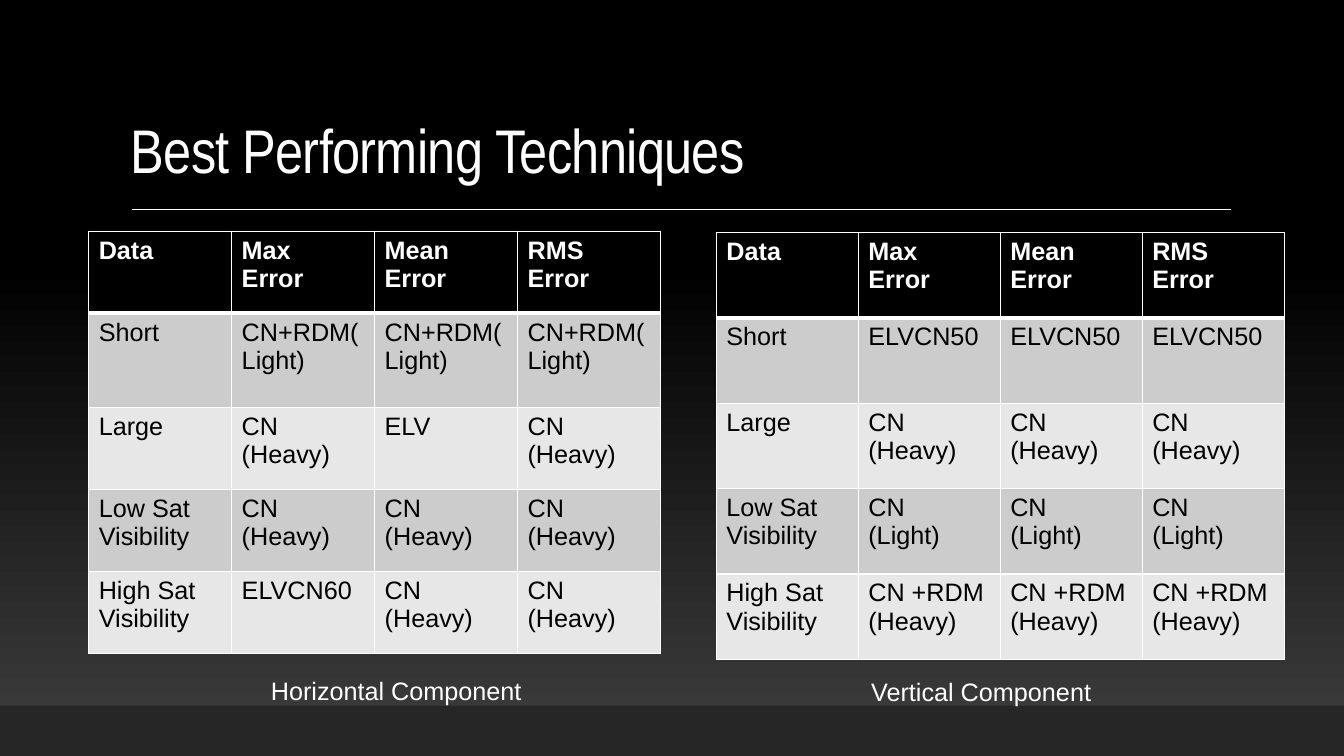
from lxml.etree import SubElement
from pptx import Presentation
from pptx.dml.color import RGBColor
from pptx.enum.shapes import MSO_CONNECTOR as CONN, MSO_SHAPE as SHAPE
from pptx.enum.text import MSO_ANCHOR as ANCHOR, PP_ALIGN as ALIGN
from pptx.oxml import parse_xml
from pptx.oxml.ns import nsdecls, qn
from pptx.util import Inches, Pt

WHITE = RGBColor(0xFF, 0xFF, 0xFF)
BLACK = RGBColor(0x00, 0x00, 0x00)
CHARCOAL = RGBColor(0x3F, 0x3F, 0x3F)
FOOTER = RGBColor(0x26, 0x26, 0x26)
BANDS = (RGBColor(0xE7, 0xE7, 0xE7), RGBColor(0xCC, 0xCC, 0xCC))

# Grid: 100 columns by 100 rows over the whole slide
WIDTH, HEIGHT = Inches(13.33), Inches(7.5)

TITLE = {"size": Pt(44), "name": "Arial Narrow"}
CAPTION = {"size": Pt(18), "name": "Arial"}
HEAD = {"size": Pt(18), "name": "Arial", "bold": True}
BODY = {"size": Pt(18), "name": "Arial", "bold": False}

HEADINGS = ["Data", "Max\nError", "Mean Error", "RMS\nError"]
LOW, HIGH = "Low Sat\nVisibility", "High Sat\nVisibility"
HEAVY = "CN\n(Heavy)"
HORIZONTAL = [
    HEADINGS,
    ["Short"] + ["CN+RDM(Light)"] * 3,
    ["Large", "CN (Heavy)", "ELV", "CN (Heavy)"],
    [LOW] + [HEAVY] * 3,
    [HIGH, "ELVCN60", HEAVY, HEAVY],
]
VERTICAL = [
    HEADINGS,
    ["Short"] + ["ELVCN50"] * 3,
    ["Large"] + ["CN (Heavy)"] * 3,
    [LOW] + ["CN\n(Light)"] * 3,
    [HIGH, "CN +RDM (Heavy)"] + ["CN +RDM (Heavy)"] * 2,
]


def col(n):
    return int(WIDTH * n / 100)


def row(n):
    return int(HEIGHT * n / 100)


def box(x, y, w, h):
    return col(x), row(y), col(w), row(h)


def fade(fill):
    """Fill with charcoal at the bottom, rising to black."""
    fill.gradient()
    fill.gradient_angle = 90
    for stop, color, place in zip(fill.gradient_stops, (CHARCOAL, BLACK), (0, 0.65)):
        stop.color.rgb = color
        stop.position = place


def write(tf, text, look, color, align=ALIGN.LEFT):
    tf.text = text
    for p in tf.paragraphs:
        p.alignment = align
        for r in p.runs:
            for key, value in look.items():
                setattr(r.font, key, value)
            r.font.color.rgb = color


def add_panel(s, place):
    sp = s.shapes.add_shape(SHAPE.RECTANGLE, *place)
    sp.shadow.inherit = False
    sp.line.fill.background()
    return sp


def add_text(s, place, text, look, align=ALIGN.LEFT, anchor=ANCHOR.TOP):
    tf = s.shapes.add_textbox(*place).text_frame
    tf.word_wrap = True
    tf.vertical_anchor = anchor
    write(tf, text, look, WHITE, align)
    return tf.paragraphs[0]


def add_rule(s, x1, x2, y):
    line = s.shapes.add_connector(CONN.STRAIGHT, col(x1), row(y), col(x2), row(y))
    line.line.color.rgb = WHITE
    line.line.width = Pt(1)
    SubElement(line._element.spPr, qn("a:effectLst"))


def set_borders(cell, widths):
    tc_pr = cell._tc.get_or_add_tcPr()
    for i, (side, width) in enumerate(widths.items()):
        tc_pr.insert(i, parse_xml(
            f'<a:ln{side} {nsdecls("a")} w="{Pt(width)}"><a:solidFill>'
            f'<a:srgbClr val="{WHITE}"/></a:solidFill></a:ln{side}>'))


def add_results(s, x, y, width, heights, data):
    place = box(x, y, width, sum(heights))
    table = s.shapes.add_table(len(data), len(data[0]), *place).table
    for column in table.columns:
        column.width = col(width / len(data[0]))
    for i, (height, values) in enumerate(zip(heights, data)):
        table.rows[i].height = row(height)
        for j, value in enumerate(values):
            cell = table.cell(i, j)
            cell.fill.solid()
            cell.fill.fore_color.rgb = BANDS[i % 2] if i else BLACK
            write(cell.text_frame, value, BODY if i else HEAD, BLACK if i else WHITE)
            set_borders(cell, {"L": 1, "R": 1, "T": 3 if i == 1 else 1,
                               "B": 1 if i else 3})


def main():
    prs = Presentation()
    prs.slide_width, prs.slide_height = WIDTH, HEIGHT
    s = prs.slides.add_slide(prs.slide_layouts[6])

    # Backdrop
    fade(s.background.fill)
    fade(add_panel(s, box(0, 0, 100, 100)).fill)

    # Title and rule
    p = add_text(s, box(9, 4.15, 82.5, 21.2), "Best Performing Techniques",
                 TITLE, anchor=ANCHOR.BOTTOM)
    p.line_spacing = 0.9
    p.runs[0].font._element.set("spc", "-50")
    add_rule(s, 9.85, 91.6, 27.7)

    # Footer band
    band = add_panel(s, box(0, 93.33, 100, 6.67))
    band.fill.solid()
    band.fill.fore_color.rgb = FOOTER

    # Result tables
    add_results(s, 6.6, 30.6, 42.55, [10.85, 12.5] + [10.85] * 3, HORIZONTAL)
    add_results(s, 53.3, 30.75, 42.25, [11.3] * 5, VERTICAL)

    # Captions
    for x, y, text in ((10.88, 88.65, "Horizontal Component"),
                       (54.4, 88.8, "Vertical Component")):
        add_text(s, box(x, y, 37.2, 5.35), text, CAPTION, ALIGN.CENTER)

    prs.save("out.pptx")


if __name__ == "__main__":
    main()
